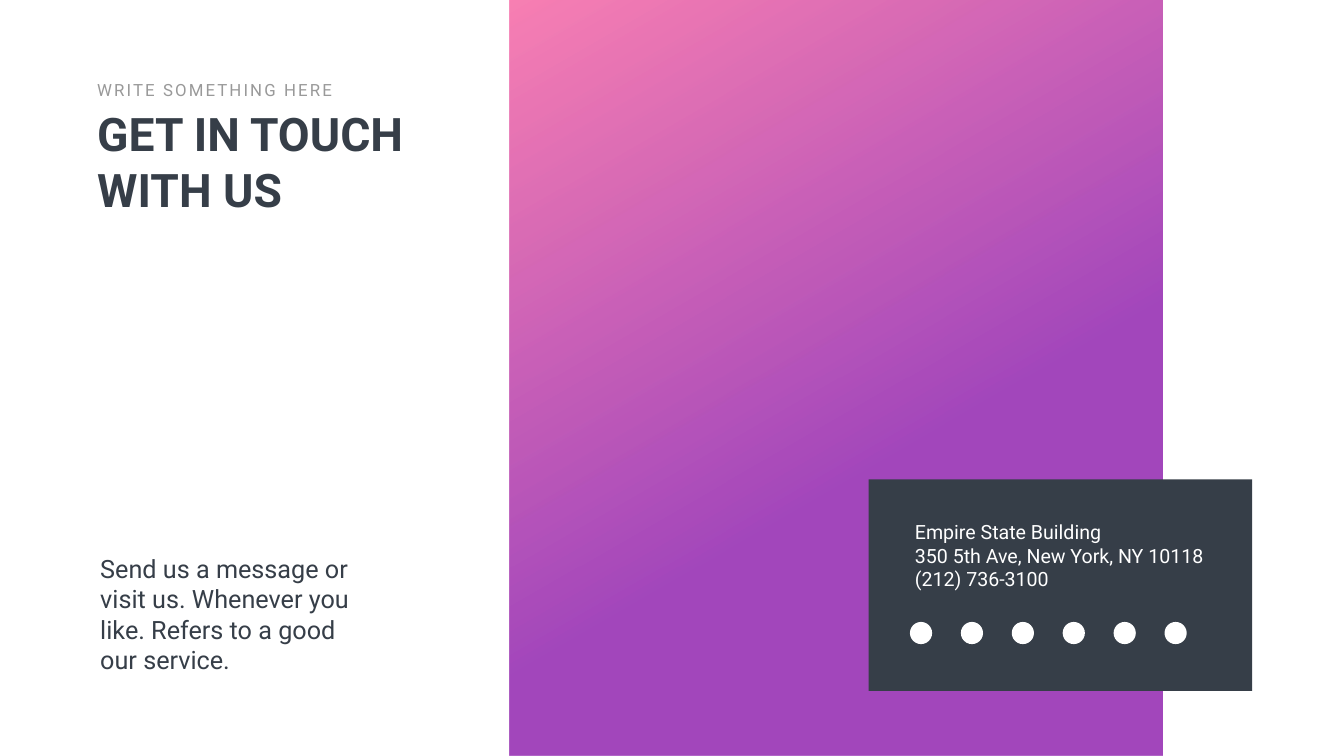
from dataclasses import dataclass

from lxml import etree
from pptx import Presentation
from pptx.dml.color import RGBColor
from pptx.enum import shapes, text
from pptx.oxml import ns
from pptx.util import Inches, Pt


@dataclass(frozen=True)
class Theme:
    font: str = "Roboto"
    dark: str = "363E48"
    grey: str = "999999"
    white: str = "FFFFFF"
    pink: str = "F761A0"
    purple: str = "8C1BAB"
    title: int = 66
    body: int = 36
    small: int = 28
    label: int = 24


def write(frame, lines, *, size, color, font, bold=False, track=0):
    """Fill a text frame, one paragraph a line; track is in points."""
    for i, line in enumerate(lines):
        para = frame.paragraphs[0] if i == 0 else frame.add_paragraph()
        run = para.add_run()
        run.text = line
        run.font.name = font
        run.font.size = Pt(size)
        run.font.bold = bold
        run.font.color.rgb = RGBColor.from_string(color)
        if track:
            run.font._element.set("spc", str(track * 100))


class Deck:
    def __init__(self, slide, theme):
        self.slide = slide
        self.theme = theme

    def shape(self, kind, box):
        item = self.slide.shapes.add_shape(kind, *map(Inches, box))
        item.shadow.inherit = False
        item.line.fill.background()
        return item

    def solid(self, kind, box, color):
        item = self.shape(kind, box)
        item.fill.solid()
        item.fill.fore_color.rgb = RGBColor.from_string(color)
        return item

    def blend(self, box, stops, angle, alpha):
        """Add a gradient panel; angle runs clockwise, alpha is a percentage."""
        item = self.shape(shapes.MSO_SHAPE.RECTANGLE, box)
        item.fill.gradient()
        item.fill.gradient_angle = 360 - angle
        for stop, (place, color) in zip(item.fill.gradient_stops, stops):
            stop.position = place
            stop.color.rgb = RGBColor.from_string(color)
        for tint in item.element.iter(ns.qn("a:srgbClr")):
            etree.SubElement(tint, ns.qn("a:alpha"), val=str(alpha * 1000))
        return item

    def text(self, box, *lines, wrap=True, **style):
        frame = self.slide.shapes.add_textbox(*map(Inches, box)).text_frame
        frame.word_wrap = wrap
        frame.auto_size = text.MSO_AUTO_SIZE.SHAPE_TO_FIT_TEXT
        write(frame, lines, font=self.theme.font, **style)


def main():
    show = Presentation()
    show.slide_width, show.slide_height = Inches(26.66), Inches(15)
    look = Theme()
    deck = Deck(show.slides.add_slide(show.slide_layouts[6]), look)

    # Heading
    deck.text((1.83, 2.05, 8.28, 2.32), "GET IN TOUCH WITH US",
              size=look.title, color=look.dark, bold=True)
    deck.text((1.83, 1.54, 5, 0.5), "WRITE SOMETHING HERE", wrap=False,
              size=look.label, color=look.grey, track=3)

    # Panel and contact card
    deck.blend((10.11, 0, 12.96, 15),
               [(0, look.pink), (0.6, look.purple)], angle=60, alpha=80)
    deck.solid(shapes.MSO_SHAPE.RECTANGLE, (17.23, 9.51, 7.61, 4.2), look.dark)

    # Plain dots for the social links
    left, top, step, side = 18.05, 12.34, 1.01, 0.44
    for i in range(6):
        deck.solid(shapes.MSO_SHAPE.OVAL,
                   (left + i * step, top, side, side), look.white)

    deck.text((18.05, 10.27, 5.97, 1.51), "Empire State Building",
              "350 5th Ave, New York, NY 10118", "(212) 736-3100",
              wrap=False, size=look.small, color=look.white)
    deck.text((1.89, 10.93, 5.7, 2.52),
              "Send us a message or visit us. Whenever you like. "
              "Refers to a good our service.",
              size=look.body, color=look.dark)
    show.save("out.pptx")


if __name__ == "__main__":
    main()
